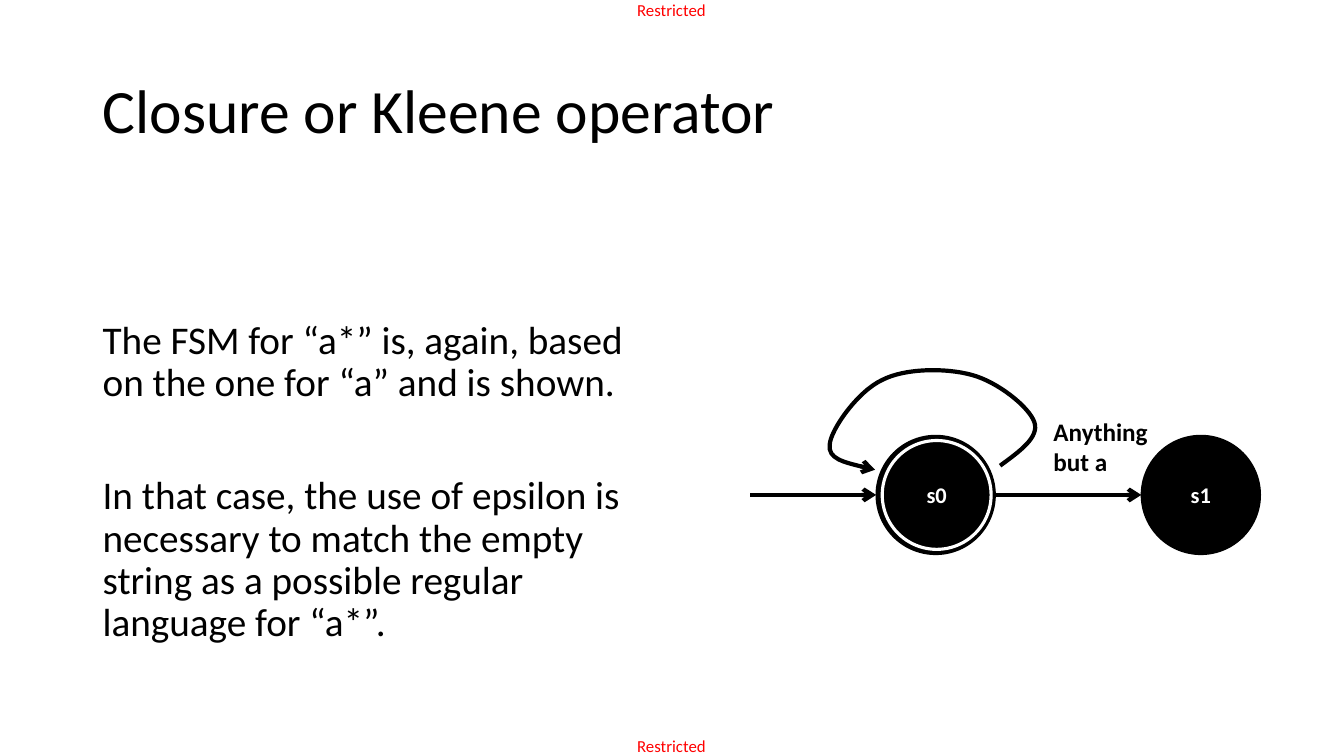
import pptx
import pptx.util
import pptx.dml.color
import pptx.enum.shapes
import pptx.enum.text
import pptx.oxml
import pptx.oxml.ns
from pptx.util import Inches

BLACK = pptx.dml.color.RGBColor(0, 0, 0)
WHITE = pptx.dml.color.RGBColor(255, 255, 255)
RED = pptx.dml.color.RGBColor(255, 0, 0)
MIDDLE = pptx.enum.text.MSO_ANCHOR.MIDDLE


def write(shape, text, size, color=BLACK, bold=False, anchor=None, align=None,
          inset=None, wrap=True, spacing=None, gap=0):
    frame = shape.text_frame
    frame.word_wrap = wrap
    frame.vertical_anchor = anchor
    if inset is not None:
        frame.margin_left = frame.margin_right = Inches(inset)
        frame.margin_top = frame.margin_bottom = Inches(inset)
    for number, words in enumerate(text if isinstance(text, list) else [text]):
        paragraph = frame.add_paragraph() if number else frame.paragraphs[0]
        paragraph.text = words
        paragraph.alignment = align
        paragraph.line_spacing = spacing
        if number:
            paragraph.space_before = pptx.util.Pt(gap)
        for run in paragraph.runs:
            run.font.name = "Calibri"
            run.font.size = pptx.util.Pt(size)
            run.font.bold = bold
            run.font.color.rgb = color


def style_arrow(arrow):
    arrow.line.color.rgb = BLACK
    arrow.line.width = pptx.util.Pt(3)
    tail = pptx.oxml.parse_xml(
        f'<a:tailEnd {pptx.oxml.ns.nsdecls("a")} type="arrow"/>')
    arrow.line._get_or_add_ln().append(tail)


presentation = pptx.Presentation()
presentation.slide_width = Inches(13.33)
presentation.slide_height = Inches(7.5)
slide = presentation.slides.add_slide(presentation.slide_layouts[6])
shapes = slide.shapes

# Restricted marks at the top and bottom edges
for top in (0, 7.3):
    mark = shapes.add_textbox(Inches(6.32), Inches(top), Inches(0.73), Inches(0.2))
    write(mark, "Restricted", size=12, color=RED, inset=0, wrap=False)

# Title and explanation
title = shapes.add_textbox(Inches(0.92), Inches(0.4), Inches(11.5), Inches(1.45))
write(title, "Closure or Kleene operator", size=44, anchor=MIDDLE, spacing=0.9)

explanation = shapes.add_textbox(Inches(0.92), Inches(3.13), Inches(5.83), Inches(4.37))
write(explanation, [
    "The FSM for “a*” is, again, based on the one for “a” and is shown.",
    "In that case, the use of epsilon is necessary to match the empty string "
    "as a possible regular language for “a*”.",
], size=28, spacing=0.9, gap=50.5)

# States: s0 is accepting, so it has a second ring
STATES = [
    ("", 8.69, 4.32, 1.18, BLACK, 1),
    ("s0", 8.75, 4.37, 1.08, WHITE, 2.25),
    ("s1", 11.32, 4.32, 1.18, BLACK, 1),
]
for name, left, top, diameter, ring, ring_width in STATES:
    state = shapes.add_shape(pptx.enum.shapes.MSO_SHAPE.OVAL, Inches(left), Inches(top),
                             Inches(diameter), Inches(diameter))
    state.shadow.inherit = False
    state.fill.solid()
    state.fill.fore_color.rgb = BLACK
    state.line.color.rgb = ring
    state.line.width = pptx.util.Pt(ring_width)
    if name:
        write(state, name, size=16, color=WHITE, bold=True, anchor=MIDDLE,
              align=pptx.enum.text.PP_ALIGN.CENTER)

# Transitions into s0 and from s0 to s1
for start, end in ((7.44, 8.69), (9.87, 11.32)):
    transition = shapes.add_connector(pptx.enum.shapes.MSO_CONNECTOR.STRAIGHT,
                                      Inches(start), Inches(4.91), Inches(end), Inches(4.91))
    style_arrow(transition)
    transition._element.spPr.append(
        pptx.oxml.parse_xml(f'<a:effectLst {pptx.oxml.ns.nsdecls("a")}/>'))

# Loop on s0: a start point, then three points for each Bezier curve
LOOP = [
    (9.92, 4.62),
    (10.11, 4.48), (10.31, 4.34), (10.26, 4.19),
    (10.21, 4.04), (9.9, 3.79), (9.64, 3.72),
    (9.39, 3.65), (8.98, 3.65), (8.75, 3.77),
    (8.51, 3.88), (8.24, 4.26), (8.23, 4.41),
    (8.21, 4.55), (8.45, 4.61), (8.68, 4.66),
]
points = [(Inches(x), Inches(y)) for x, y in LOOP]
builder = shapes.build_freeform(*points[0])
builder.add_line_segments(points[1:], close=False)
loop = builder.convert_to_shape()
loop.shadow.inherit = False
loop.fill.background()
style_arrow(loop)

# Merge each three line segments of the loop into one curve
segments = loop._element.findall(".//" + pptx.oxml.ns.qn("a:lnTo"))
for first in range(0, len(segments), 3):
    curve = pptx.oxml.parse_xml(f'<a:cubicBezTo {pptx.oxml.ns.nsdecls("a")}/>')
    segments[first].addprevious(curve)
    for segment in segments[first:first + 3]:
        curve.append(segment[0])
        segment.getparent().remove(segment)

# Condition for leaving s0
condition = shapes.add_textbox(Inches(10.35), Inches(4.08), Inches(1.18), Inches(0.71))
write(condition, "Anything\vbut a", size=18, bold=True)

presentation.save("out.pptx")
